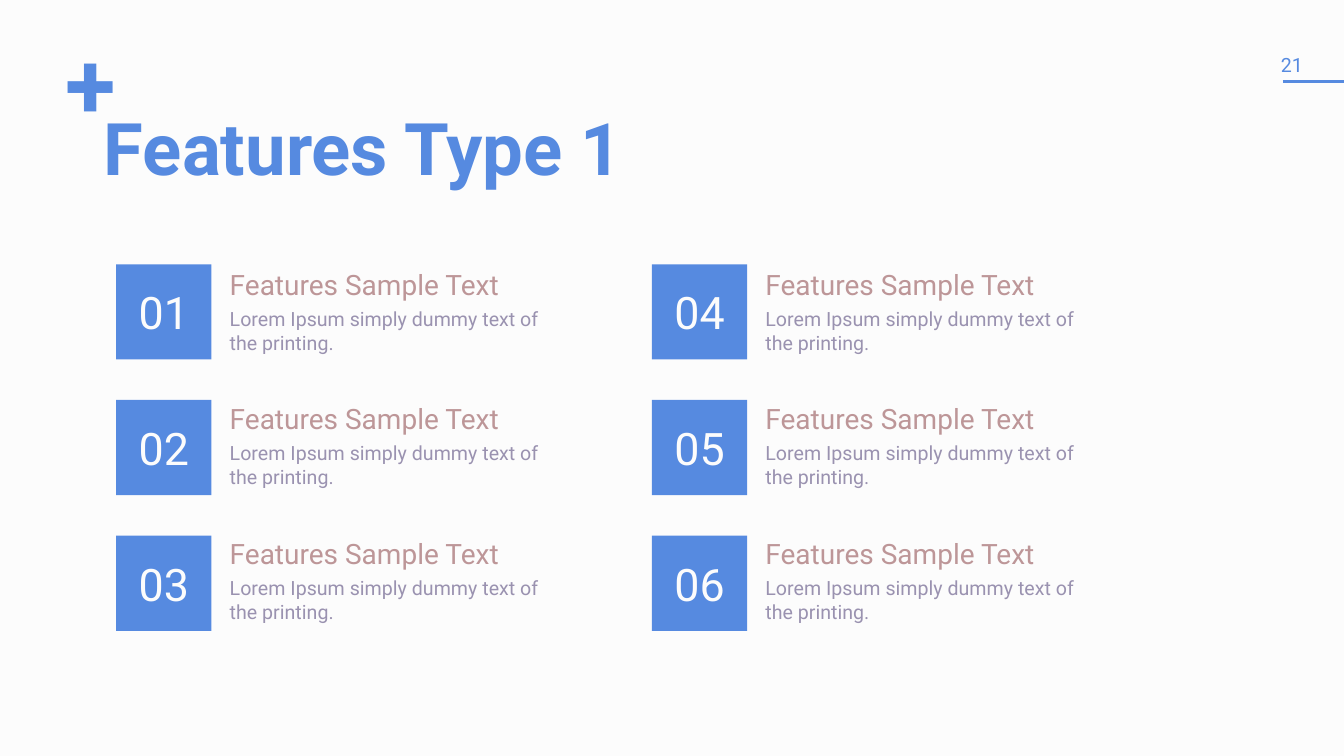
from lxml.etree import SubElement
from pptx import Presentation
from pptx.dml.color import RGBColor
from pptx.enum.shapes import MSO_CONNECTOR, MSO_SHAPE
from pptx.enum.text import MSO_ANCHOR, MSO_AUTO_SIZE, PP_ALIGN
from pptx.oxml.ns import qn
from pptx.util import Cm, Pt

BLUE = RGBColor(0x56, 0x8A, 0xE0)
ROSE = RGBColor(0xBD, 0x96, 0x98)
MAUVE = RGBColor(0x9A, 0x92, 0xB0)
PAPER = RGBColor(0xFC, 0xFC, 0xFC)
FONT = "Roboto"

ROWS = 3
FEATURES = [
    ("01", "Features Sample Text", "Lorem Ipsum simply dummy text of the printing."),
    ("02", "Features Sample Text", "Lorem Ipsum simply dummy text of the printing."),
    ("03", "Features Sample Text", "Lorem Ipsum simply dummy text of the printing."),
    ("04", "Features Sample Text", "Lorem Ipsum simply dummy text of the printing."),
    ("05", "Features Sample Text", "Lorem Ipsum simply dummy text of the printing."),
    ("06", "Features Sample Text", "Lorem Ipsum simply dummy text of the printing."),
]


def add_run(paragraph, text, size, color, bold=False):
    """Add one formatted run to a paragraph."""
    run = paragraph.add_run()
    run.text = text
    run.font.name = FONT
    run.font.size = Pt(size)
    run.font.bold = bold
    run.font.color.rgb = color


def set_frame(frame, inset=Cm(0.13), wrap=True, anchor=MSO_ANCHOR.TOP,
              auto_size=MSO_AUTO_SIZE.SHAPE_TO_FIT_TEXT):
    """Set the margins, wrapping, anchor and sizing of a text frame."""
    frame.auto_size = auto_size
    frame.word_wrap = wrap
    frame.vertical_anchor = anchor
    frame.margin_left = frame.margin_right = inset
    frame.margin_top = frame.margin_bottom = inset


def add_header(slide, left, top, width):
    """Place the plus sign and the slide title below and right of it."""
    plus = slide.shapes.add_textbox(left, top, Cm(1.55), Cm(2.97)).text_frame
    set_frame(plus, wrap=False)
    plus.paragraphs[0].line_spacing = 0.8
    add_run(plus.paragraphs[0], "+", 66, BLUE, bold=True)

    title = slide.shapes.title
    title.left, title.top = left + Cm(0.97), top + Cm(1.9)
    title.width, title.height = width, Cm(2.41)
    set_frame(title.text_frame, auto_size=MSO_AUTO_SIZE.NONE)
    heading = title.text_frame.paragraphs[0]
    heading.alignment = PP_ALIGN.LEFT
    heading.line_spacing = 0.75
    add_run(heading, "Features Type 1", 51.8, BLUE, bold=True)


def add_page_number(slide, left, top, right):
    """Place the page number and the rule that runs to the slide edge."""
    rule_y = top + Cm(0.89)
    rule = slide.shapes.add_connector(
        MSO_CONNECTOR.STRAIGHT, left + Cm(0.23), rule_y, right, rule_y)
    rule.line.color.rgb = BLUE
    rule.line.width = Pt(2)
    SubElement(rule._element.spPr, qn("a:effectLst"))

    number = slide.shapes.add_textbox(left, top, Cm(0.94), Cm(0.91)).text_frame
    set_frame(number, inset=Cm(0.18), wrap=False, anchor=MSO_ANCHOR.MIDDLE)
    add_run(number.paragraphs[0], "21", 14, BLUE)


def add_feature(slide, left, top, caption_top, feature):
    """Place one numbered square with its caption as a group."""
    number, heading, detail = feature
    side = Cm(2.4)
    group = slide.shapes.add_group_shape()

    caption = group.shapes.add_textbox(
        left + Cm(2.73), caption_top, Cm(8.2), Cm(2.18)).text_frame
    set_frame(caption)
    heading_line, detail_line = caption.paragraphs[0], caption.add_paragraph()
    heading_line.line_spacing = detail_line.line_spacing = Pt(17)
    detail_line.space_before = Pt(4)
    add_run(heading_line, heading, 20, ROSE)
    add_run(detail_line, detail, 14, MAUVE)

    square = group.shapes.add_shape(MSO_SHAPE.RECTANGLE, left, top, side, side)
    square.shadow.inherit = False
    square.fill.solid()
    square.fill.fore_color.rgb = BLUE
    square.line.fill.background()
    set_frame(square.text_frame, anchor=MSO_ANCHOR.MIDDLE,
              auto_size=MSO_AUTO_SIZE.NONE)
    square.text_frame.paragraphs[0].alignment = PP_ALIGN.CENTER
    add_run(square.text_frame.paragraphs[0], number, 32, PAPER)


def add_feature_grid(slide, left, top):
    """Place the features column by column."""
    for index, feature in enumerate(FEATURES):
        column, row = divmod(index, ROWS)
        add_feature(slide, left + column * Cm(13.5), top + row * Cm(3.42),
                    top + Cm(0.19) + row * Cm(3.39), feature)


def main():
    """Build the features slide and save it."""
    deck = Presentation()
    deck.slide_width, deck.slide_height = Cm(33.87), Cm(19.05)
    slide = deck.slides.add_slide(deck.slide_layouts.get_by_name("Title Only"))
    slide.background.fill.solid()
    slide.background.fill.fore_color.rgb = PAPER
    add_header(slide, Cm(1.52), Cm(1.07), Cm(29.03))
    add_page_number(slide, Cm(32.1), Cm(1.17), deck.slide_width)
    add_feature_grid(slide, Cm(2.93), Cm(6.66))
    deck.save("out.pptx")


if __name__ == "__main__":
    main()
